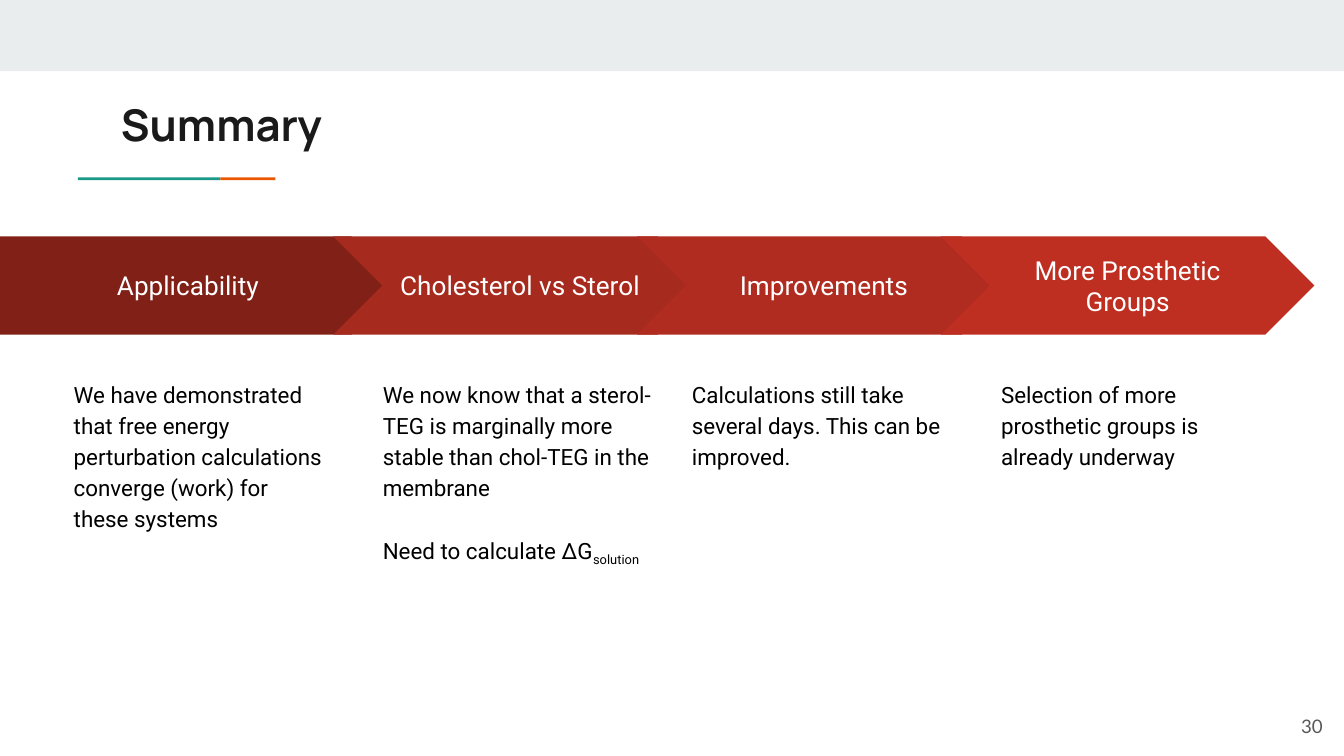
from dataclasses import dataclass

from pptx import Presentation
from pptx.dml.color import RGBColor
from pptx.enum.shapes import MSO_SHAPE
from pptx.enum.text import MSO_ANCHOR, MSO_AUTO_SIZE, PP_ALIGN
from pptx.util import Inches, Pt

RECTANGLE, PENTAGON, CHEVRON = MSO_SHAPE.RECTANGLE, MSO_SHAPE.PENTAGON, MSO_SHAPE.CHEVRON
LEFT, CENTER, RIGHT = PP_ALIGN.LEFT, PP_ALIGN.CENTER, PP_ALIGN.RIGHT
TOP, MIDDLE = MSO_ANCHOR.TOP, MSO_ANCHOR.MIDDLE


@dataclass(frozen=True)
class Style:
    font: str
    size: float
    color: str
    bold: bool = False


@dataclass(frozen=True)
class Theme:
    title: Style = Style("Manrope", 23.4, "1A1A1A", True)
    step: Style = Style("Roboto", 14, "FFFFFF")
    body: Style = Style("Roboto", 12, "000000")
    number: Style = Style("Lato", 10, "595959")
    band: str = "E9EDEE"
    teal: str = "1A9988"
    orange: str = "EB5600"
    arrows: tuple = ("802017", "A72A1E", "B02C20", "BE2F22")


THEME = Theme()
TITLE = "Summary"
PAGE_NUMBER = "30"
# Each step: heading, body width, then paragraphs of (text, is subscript) spans.
STEPS = [
    ("Applicability", 2.08, [
        [("We have demonstrated that free energy perturbation calculations "
          "converge (work) for these systems", False)]]),
    ("Cholesterol vs Sterol", 2.2, [
        [("We now know that a sterol-TEG is marginally more stable than "
          "chol-TEG in the membrane", False)],
        [("Need to calculate ΔG", False), ("solution", True)]]),
    ("Improvements", 2.08, [
        [("Calculations still take several days. This can be improved.", False)]]),
    ("More Prosthetic Groups", 2.08, [
        [("Selection of more prosthetic groups is already underway", False)]]),
]

WIDTH = 10
HEIGHT = WIDTH * 9 / 16
ARROW_TOP, ARROW_HEIGHT = 1.76, 0.73
ARROW_LEFT, ARROW_PITCH, ARROW_WIDTH = 0.22, 2.26, 2.78
FIRST_ARROW_WIDTH = 2.98
BODY_LEFT, BODY_PITCH, BODY_TOP, BODY_HEIGHT = 0.45, 2.3, 2.71, 2.86
RULE_TOP, RULE_HEIGHT = 1.32, 0.02
RULES = [(0.58, 1.06, THEME.teal), (1.64, 0.41, THEME.orange)]


def inches(*lengths):
    return [Inches(length) for length in lengths]


def add_shape(page, kind, area, color):
    shape = page.shapes.add_shape(kind, *inches(*area))
    shape.shadow.inherit = False
    shape.fill.solid()
    shape.fill.fore_color.rgb = RGBColor.from_string(color)
    shape.line.fill.background()
    return shape


def prepare_frame(frame, anchor):
    frame.word_wrap = True
    frame.auto_size = MSO_AUTO_SIZE.NONE
    frame.vertical_anchor = anchor
    frame.margin_left = frame.margin_right = Inches(0.1)
    frame.margin_top = frame.margin_bottom = Inches(0.1)


def format_paragraph(para, style, align):
    para.alignment = align
    para.font.name = style.font
    para.font.size = Pt(style.size)
    para.font.bold = style.bold
    para.font.color.rgb = RGBColor.from_string(style.color)


def write_line(shape, text, style, align, anchor):
    frame = shape.text_frame
    prepare_frame(frame, anchor)
    frame.text = text
    format_paragraph(frame.paragraphs[0], style, align)


def write_body(box, paragraphs):
    frame = box.text_frame
    prepare_frame(frame, TOP)
    for index, spans in enumerate(paragraphs):
        para = frame.add_paragraph() if index else frame.paragraphs[0]
        format_paragraph(para, THEME.body, LEFT)
        para.line_spacing = 1.15
        if index:
            para.space_before = Pt(16.6)
        for text, is_subscript in spans:
            span = para.add_run()
            span.text = text
            if is_subscript:
                span._r.get_or_add_rPr().set("baseline", "-25000")


def main():
    deck = Presentation()
    deck.slide_width, deck.slide_height = inches(WIDTH, HEIGHT)
    page = deck.slides.add_slide(deck.slide_layouts[5])

    add_shape(page, RECTANGLE, (0, 0, WIDTH, 0.53), THEME.band)
    for left, width, color in RULES:
        add_shape(page, RECTANGLE, (left, RULE_TOP, width, RULE_HEIGHT), color)

    title = page.shapes.title
    title.left, title.top, title.width, title.height = inches(0.8, 0.63, 8.41, 0.59)
    write_line(title, TITLE, THEME.title, LEFT, TOP)

    for column, (step, color) in enumerate(zip(STEPS, THEME.arrows)):
        heading, body_width, paragraphs = step
        if column:
            kind, left, width = CHEVRON, ARROW_LEFT + column * ARROW_PITCH, ARROW_WIDTH
        else:
            kind, left, width = PENTAGON, 0, FIRST_ARROW_WIDTH
        arrow = add_shape(page, kind, (left, ARROW_TOP, width, ARROW_HEIGHT), color)
        write_line(arrow, heading, THEME.step, CENTER, MIDDLE)
        box = page.shapes.add_textbox(*inches(
            BODY_LEFT + column * BODY_PITCH, BODY_TOP, body_width, BODY_HEIGHT))
        write_body(box, paragraphs)

    number = page.shapes.add_textbox(*inches(9.34, 5.19, 0.6, 0.43))
    write_line(number, PAGE_NUMBER, THEME.number, RIGHT, MIDDLE)
    deck.save("out.pptx")


if __name__ == "__main__":
    main()
